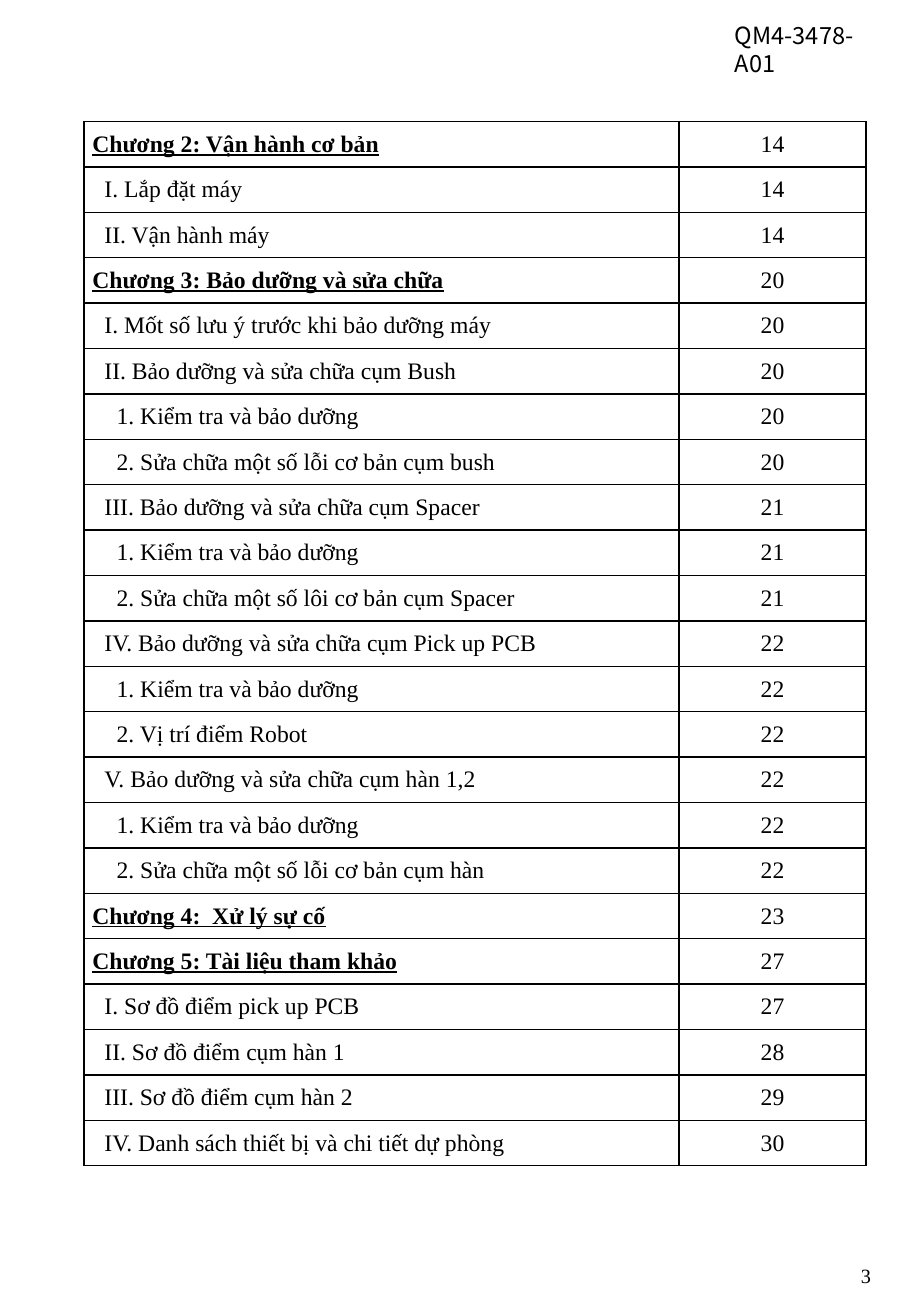
from lxml.etree import SubElement
from pptx import Presentation
from pptx.dml.color import RGBColor
from pptx.enum.text import MSO_ANCHOR, MSO_AUTO_SIZE, PP_ALIGN
from pptx.oxml.ns import qn
from pptx.util import Inches, Pt

COLOURS = {"ink": "000000", "rule": "000000"}
SERIF = "Times New Roman"
SANS = "Noto Sans CJK JP"

CONTENTS = [
    (0, "Chương 2: Vận hành cơ bản", 14),
    (1, "I. Lắp đặt máy", 14),
    (1, "II. Vận hành máy", 14),
    (0, "Chương 3: Bảo dưỡng và sửa chữa", 20),
    (1, "I. Mốt số lưu ý trước khi bảo dưỡng máy", 20),
    (1, "II. Bảo dưỡng và sửa chữa cụm Bush", 20),
    (2, "1. Kiểm tra và bảo dưỡng", 20),
    (2, "2. Sửa chữa một số lỗi cơ bản cụm bush", 20),
    (1, "III. Bảo dưỡng và sửa chữa cụm Spacer", 21),
    (2, "1. Kiểm tra và bảo dưỡng", 21),
    (2, "2. Sửa chữa một số lôi cơ bản cụm Spacer", 21),
    (1, "IV. Bảo dưỡng và sửa chữa cụm Pick up PCB", 22),
    (2, "1. Kiểm tra và bảo dưỡng", 22),
    (2, "2. Vị trí điểm Robot", 22),
    (1, "V. Bảo dưỡng và sửa chữa cụm hàn 1,2", 22),
    (2, "1. Kiểm tra và bảo dưỡng", 22),
    (2, "2. Sửa chữa một số lỗi cơ bản cụm hàn", 22),
    (0, "Chương 4:  Xử lý sự cố", 23),
    (0, "Chương 5: Tài liệu tham khảo", 27),
    (1, "I. Sơ đồ điểm pick up PCB", 27),
    (1, "II. Sơ đồ điểm cụm hàn 1", 28),
    (1, "III. Sơ đồ điểm cụm hàn 2", 29),
    (1, "IV. Danh sách thiết bị và chi tiết dự phòng", 30),
]


class Page:
    """Draws styled elements on one slide, measured in grid units of a tenth of an inch."""

    def __init__(self, deck):
        self.slide = deck.slides.add_slide(deck.slide_layouts[6])
        self.unit = Inches(0.1)

    def grid(self, *lengths):
        return [round(length * self.unit) for length in lengths]

    def set_text(self, frame, text, font_name, size, heading=False, align=None):
        paragraph = frame.paragraphs[0]
        paragraph.text = text
        paragraph.alignment = align
        font = paragraph.font
        font.name, font.size = font_name, Pt(size)
        font.bold = font.underline = heading
        font.color.rgb = RGBColor.from_string(COLOURS["ink"])

    def label(self, text, place, font_name, size, grow=False):
        frame = self.slide.shapes.add_textbox(*self.grid(*place)).text_frame
        frame.word_wrap = True
        if grow:
            frame.auto_size = MSO_AUTO_SIZE.SHAPE_TO_FIT_TEXT
        self.set_text(frame, text, font_name, size)

    def rule(self, cell):
        properties = cell._tc.get_or_add_tcPr()
        for side in ("lnL", "lnR", "lnT", "lnB"):
            border = SubElement(properties, qn(f"a:{side}"), w=str(Pt(1)))
            paint = SubElement(border, qn("a:solidFill"))
            SubElement(paint, qn("a:srgbClr"), val=COLOURS["rule"])
        cell.fill.background()

    def cell(self, cell, text, level=0, heading=False, align=None):
        cell.vertical_anchor = MSO_ANCHOR.MIDDLE
        cell.margin_left, cell.margin_right = self.grid(0.7 + level, 0.7)
        cell.margin_top, cell.margin_bottom = self.grid(0.3, 0.3)
        self.rule(cell)
        self.set_text(cell.text_frame, text, SERIF, 14, heading, align)

    def contents(self, entries, left, top, columns, row_height):
        place = self.grid(left, top, sum(columns), row_height * len(entries))
        table = self.slide.shapes.add_table(len(entries), len(columns), *place).table
        table.first_row = table.horz_banding = False
        for column, width in zip(table.columns, self.grid(*columns)):
            column.width = width
        for row, (level, title, page_number) in zip(table.rows, entries):
            row.height = self.grid(row_height)[0]
            title_cell, number_cell = row.cells
            self.cell(title_cell, title, level, heading=level == 0)
            self.cell(number_cell, str(page_number), align=PP_ALIGN.CENTER)


def main():
    deck = Presentation()
    deck.slide_width, deck.slide_height = Inches(7.5), Inches(10.83)
    page = Page(deck)
    page.label("QM4-3478-A01", (59.5, 1.2, 14.2, 3.4), SANS, 14, grow=True)
    page.label("3", (69.9, 103.5, 5.3, 4.8), SERIF, 12)
    page.contents(CONTENTS, left=6.9, top=10, columns=(49, 15.4), row_height=3.74)
    deck.save("out.pptx")


if __name__ == "__main__":
    main()
